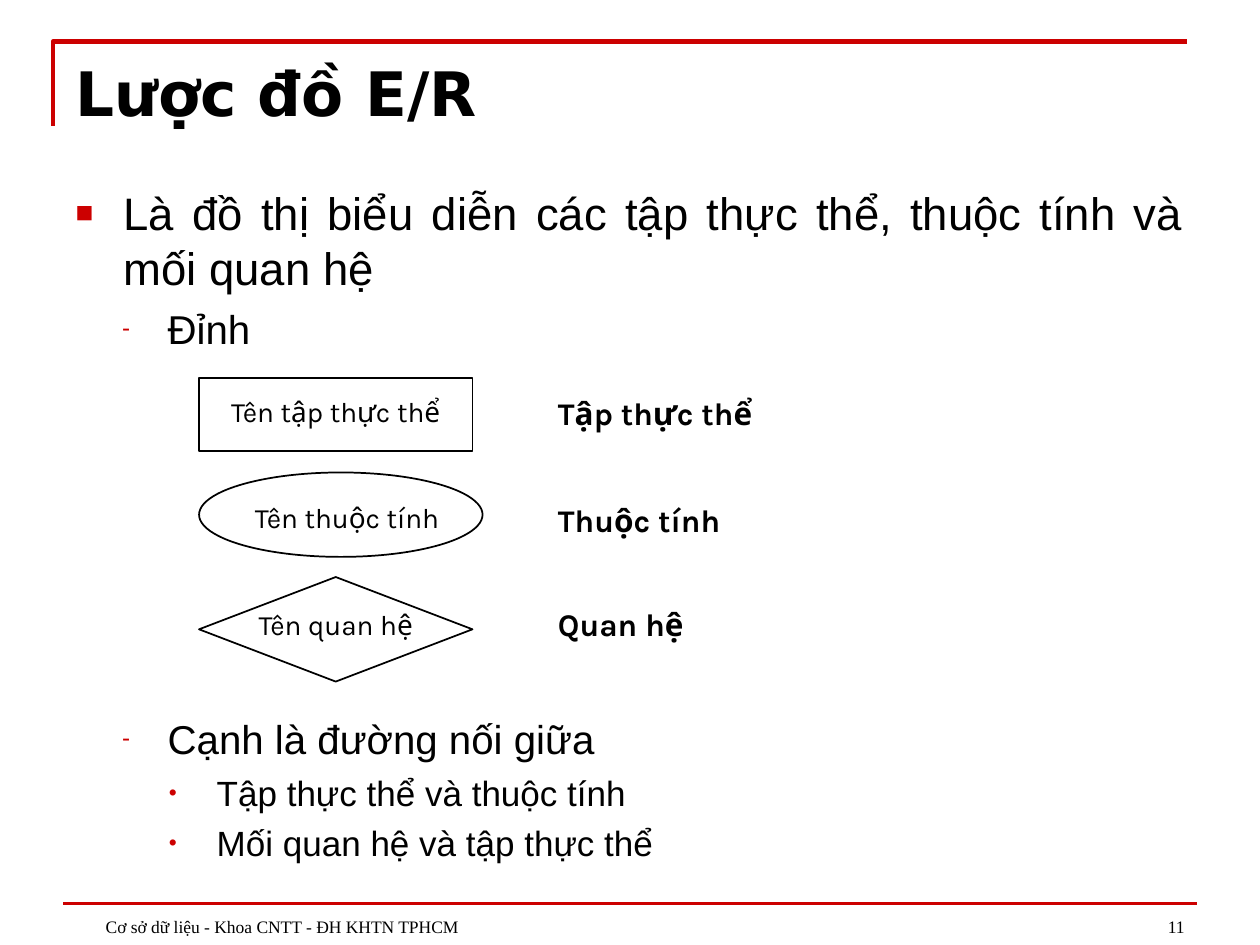
"""Build the slide that explains the symbols of an E/R diagram."""
from dataclasses import dataclass
from typing import Optional

from lxml.etree import SubElement
from pptx import Presentation
from pptx.dml.color import RGBColor
from pptx.enum.shapes import MSO_CONNECTOR as Connector, MSO_SHAPE as Shape
from pptx.enum.text import MSO_ANCHOR as Anchor, MSO_AUTO_SIZE as AutoSize, PP_ALIGN as Align
from pptx.oxml.ns import qn
from pptx.util import Inches, Pt

BLACK = RGBColor(0x00, 0x00, 0x00)
RED = RGBColor(0xCC, 0x00, 0x00)
SYMBOL_LEFT, MEANING_LEFT = 1.58, 4.33


@dataclass(frozen=True)
class Style:
    font: str
    size: float
    bold: bool = False
    align: Align = Align.LEFT
    space_before: float = 0
    margin: float = 0


@dataclass(frozen=True)
class Level:
    bullet: str
    bullet_percent: int
    margin: float
    hanging: float
    size: float
    space_before: float


@dataclass(frozen=True)
class Item:
    text: str
    level: int
    space_before: Optional[float] = None


@dataclass(frozen=True)
class Symbol:
    kind: Shape
    top: float
    width: float
    height: float
    name: str
    name_left: float
    name_top: float
    meaning: str
    meaning_top: float


TITLE = Style("DejaVu Sans", 35, bold=True)
NAME = Style("Karla", 16, align=Align.CENTER, space_before=10)
MEANING = Style("Karla", 18, bold=True, space_before=11.2)
FOOTER = Style("Times New Roman", 10, margin=0.24)
PAGE_NUMBER = Style("Times New Roman", 10, align=Align.RIGHT, margin=0.24)

LEVELS = [
    Level("■", 65, 0.38, 0.38, 26, 6.5),
    Level("-", 60, 0.73, 0.36, 23, 5.8),
    Level("•", 65, 1.12, 0.38, 20, 5),
]
ITEMS = [
    Item("Là đồ thị biểu diễn các tập thực thể, thuộc tính và mối quan hệ", 0),
    Item("Đỉnh", 1),
    Item("Cạnh là đường nối giữa", 1, space_before=206.5),
    Item("Tập thực thể và thuộc tính", 2),
    Item("Mối quan hệ và tập thực thể", 2),
]
SYMBOLS = [
    Symbol(Shape.RECTANGLE, 3, 2.17, 0.58,
           "Tên tập thực thể", 1.58, 3.08, "Tập thực thể", 3.08),
    Symbol(Shape.OVAL, 3.75, 2.25, 0.67,
           "Tên thuộc tính", 1.67, 3.92, "Thuộc tính", 3.93),
    Symbol(Shape.FLOWCHART_DECISION, 4.58, 2.17, 0.83,
           "Tên quan hệ", 1.58, 4.77, "Quan hệ", 4.75),
]


def place(shape, left: float, top: float, width: float, height: float) -> None:
    shape.left, shape.top = Inches(left), Inches(top)
    shape.width, shape.height = Inches(width), Inches(height)


def set_font(paragraph, name: str, size: float, bold: bool = False) -> None:
    font = paragraph.font
    font.name, font.size, font.bold = name, Pt(size), bold
    font.color.rgb = BLACK


def write(frame, text: str, style: Style, anchor: Anchor) -> None:
    frame.word_wrap = True
    frame.auto_size = AutoSize.NONE
    frame.vertical_anchor = anchor
    paragraph = frame.paragraphs[0]
    paragraph.text = text
    paragraph.alignment = style.align
    paragraph.space_before = Pt(style.space_before)
    if style.margin:
        paragraph._p.get_or_add_pPr().set("marL", str(Inches(style.margin)))
    set_font(paragraph, style.font, style.size, style.bold)


def add_text(slide, left: float, top: float, width: float, height: float,
             text: str, style: Style, anchor: Anchor = Anchor.TOP) -> None:
    box = slide.shapes.add_textbox(Inches(left), Inches(top), Inches(width), Inches(height))
    write(box.text_frame, text, style, anchor)


def add_bullet(paragraph, level: Level) -> None:
    properties = paragraph._p.get_or_add_pPr()
    properties.set("marL", str(Inches(level.margin)))
    properties.set("indent", str(-Inches(level.hanging)))
    color = SubElement(properties, qn("a:buClr"))
    SubElement(color, qn("a:srgbClr"), val=str(RED))
    SubElement(properties, qn("a:buSzPct"), val=str(level.bullet_percent * 1000))
    SubElement(properties, qn("a:buFont"), typeface="Arial")
    SubElement(properties, qn("a:buChar"), char=level.bullet)


def fill_list(frame, items: list[Item]) -> None:
    frame.word_wrap = True
    frame.auto_size = AutoSize.NONE
    frame.vertical_anchor = Anchor.TOP
    for index, item in enumerate(items):
        level = LEVELS[item.level]
        paragraph = frame.add_paragraph() if index else frame.paragraphs[0]
        paragraph.text = item.text
        paragraph.level = item.level
        paragraph.alignment = Align.JUSTIFY
        paragraph.space_before = Pt(item.space_before or level.space_before)
        add_bullet(paragraph, level)
        set_font(paragraph, "Arial", level.size)


def add_frame_lines(slide) -> None:
    builder = slide.shapes.build_freeform(Inches(0.42), Inches(1))
    builder.add_line_segments(
        [(Inches(0.42), Inches(0.33)), (Inches(9.42), Inches(0.33))], close=False)
    corner = builder.convert_to_shape()
    corner.shadow.inherit = False
    corner.fill.background()
    corner.line.color.rgb = RED
    corner.line.width = Pt(2.5)

    rule = slide.shapes.add_connector(
        Connector.STRAIGHT, Inches(0.5), Inches(7.17), Inches(9.5), Inches(7.17))
    rule.line.color.rgb = RED
    rule.line.width = Pt(2)
    SubElement(rule._element.spPr, qn("a:effectLst"))


def add_symbol(slide, symbol: Symbol) -> None:
    outline = slide.shapes.add_shape(
        symbol.kind, Inches(SYMBOL_LEFT), Inches(symbol.top),
        Inches(symbol.width), Inches(symbol.height))
    outline.shadow.inherit = False
    outline.fill.background()
    outline.line.color.rgb = BLACK
    outline.line.width = Pt(1)
    add_text(slide, symbol.name_left, symbol.name_top, 2.17, 0.37, symbol.name, NAME)
    add_text(slide, MEANING_LEFT, symbol.meaning_top, 2.08, 0.4, symbol.meaning, MEANING)


def main() -> None:
    presentation = Presentation()
    presentation.slide_width, presentation.slide_height = Inches(10), Inches(7.5)
    slide = presentation.slides.add_slide(presentation.slide_layouts[1])
    title, body = slide.placeholders
    add_frame_lines(slide)
    place(title, 0.5, 0.39, 9, 0.68)
    write(title.text_frame, "Lược đồ E/R", TITLE, Anchor.BOTTOM)
    place(body, 0.5, 1.42, 9, 5.58)
    fill_list(body.text_frame, ITEMS)
    for symbol in SYMBOLS:
        add_symbol(slide, symbol)
    add_text(slide, 7.17, 6.99, 2.33, 0.5, "11", PAGE_NUMBER, Anchor.BOTTOM)
    add_text(slide, 0.5, 6.99, 6.08, 0.5,
             "Cơ sở dữ liệu - Khoa CNTT - ĐH KHTN TPHCM", FOOTER, Anchor.BOTTOM)
    presentation.save("out.pptx")


if __name__ == "__main__":
    main()
